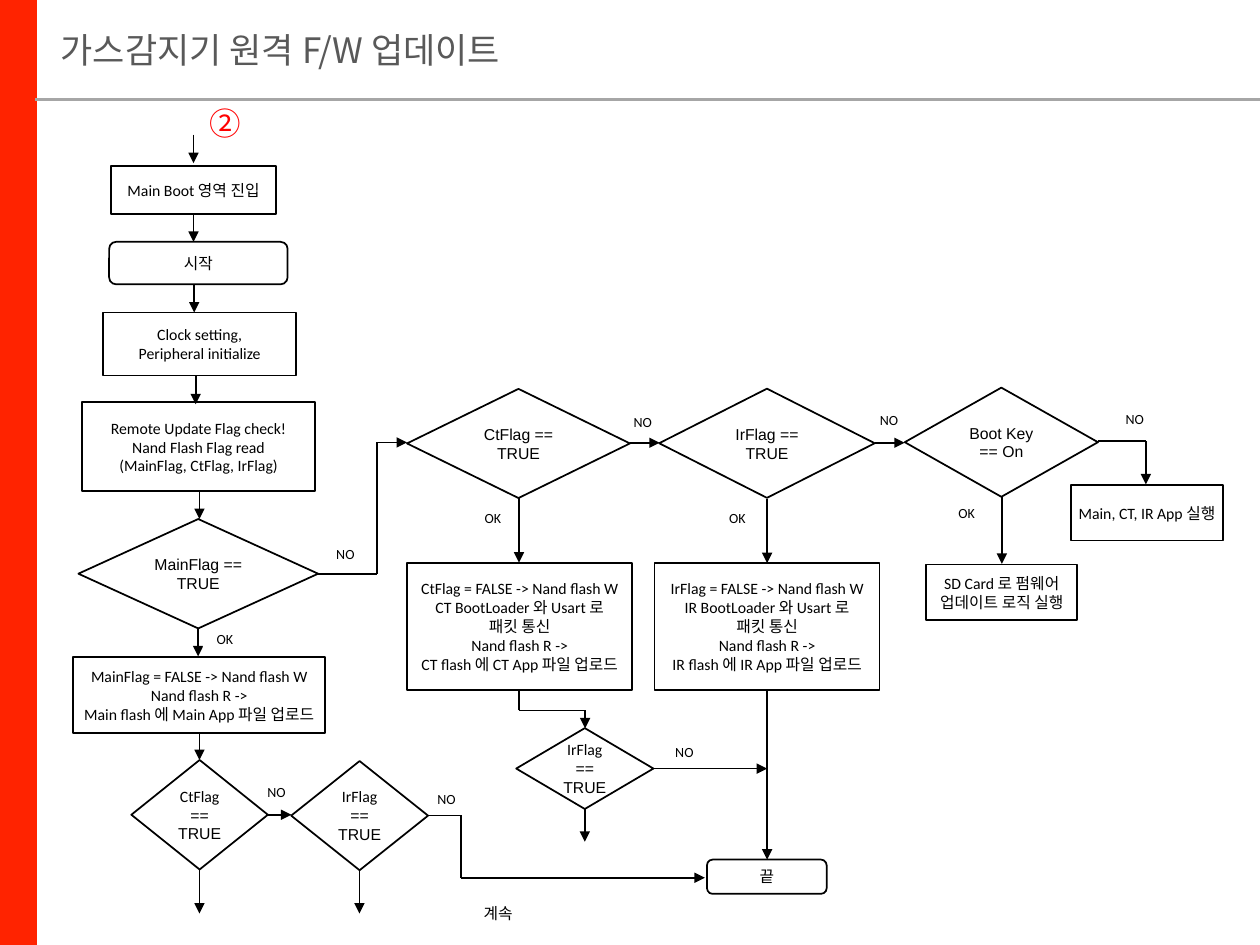
from itertools import pairwise

from pptx import Presentation
from pptx.enum import shapes, text
from pptx.oxml import ns
from pptx.dml import color
from pptx import util as u
from lxml import etree

Pt = u.Pt
KIND = shapes.MSO_SHAPE
COLORS = {"bar": "FF2300", "rule": "A6A6A6", "title": "595959",
          "ink": "000000", "paper": "FFFFFF", "step": "FF0000"}


def add_node(kind, box, wording, font="Calibri", size=9, ink="ink",
             fill="paper", line="ink", inset=(1.44, 1.44), align=text.PP_ALIGN.CENTER):
    """Add a shape; each line is a paragraph, '|' separates Calibri from Arial."""
    node = slide.shapes.add_shape(kind, *map(Pt, box))
    node.shadow.inherit = False
    if fill:
        node.fill.solid()
        node.fill.fore_color.rgb = color.RGBColor.from_string(COLORS[fill])
    else:
        node.fill.background()
    if line:
        node.line.color.rgb = color.RGBColor.from_string(COLORS[line])
        node.line.width = Pt(1)
    else:
        node.line.fill.background()
    frame = node.text_frame
    frame.word_wrap = True
    frame.vertical_anchor = text.MSO_ANCHOR.MIDDLE
    frame.margin_left = frame.margin_right = Pt(inset[0])
    frame.margin_top = frame.margin_bottom = Pt(inset[1])
    for i, sentence in enumerate(wording.split("\n") if wording else []):
        paragraph = frame.add_paragraph() if i else frame.paragraphs[0]
        paragraph.alignment = align
        paragraph.font.size = Pt(size)
        paragraph.font.name = font
        paragraph.font.color.rgb = color.RGBColor.from_string(COLORS[ink])
        parts = sentence.split("|")
        for part in parts:
            run = paragraph.add_run()
            run.text = part
        if len(parts) > 1:
            paragraph.runs[0].font.name = "Calibri"
    return node


def add_route(points, arrow=True, ink="ink", width=1):
    """Join the points with straight lines, with an arrowhead on the last."""
    for start, end in pairwise(points):
        leg = slide.shapes.add_connector(
            shapes.MSO_CONNECTOR.STRAIGHT, *map(Pt, (*start, *end)))
        leg.line.color.rgb = color.RGBColor.from_string(COLORS[ink])
        leg.line.width = Pt(width)
        if arrow and end == points[-1]:
            etree.SubElement(leg.line._get_or_add_ln(), ns.qn("a:tailEnd"), type="triangle")
        etree.SubElement(leg._element.spPr, ns.qn("a:effectLst"))


deck = Presentation()
deck.slide_width, deck.slide_height = Pt(720), Pt(540)
slide = deck.slides.add_slide(deck.slide_layouts[6])

# Red side bar, title and rule
side_bar = add_node(KIND.RECTANGLE, (0, 0, 20.2, 540), "", fill="bar", line="bar")
side_bar.line.width = Pt(2)
add_route([(20.2, 56.9), (720, 56.9)], arrow=False, ink="rule", width=1.5)
heading = slide.shapes.add_textbox(Pt(20.2), Pt(0), Pt(699.8), Pt(56.9)).text_frame
heading.word_wrap = True
heading.vertical_anchor = text.MSO_ANCHOR.MIDDLE
heading.margin_left = Pt(14.4)
heading.margin_right = heading.margin_top = heading.margin_bottom = 0
title = heading.paragraphs[0]
title.text = "가스감지기 원격 F/W 업데이트"
title.font.size = Pt(20)
title.font.name = "Noto Sans CJK KR"
title.font.color.rgb = color.RGBColor.from_string(COLORS["title"])

# Process steps
upload = ("{0}Flag = FALSE -> Nand flash W\n{1} BootLoader 와 Usart 로\n패킷 통신\n"
          "Nand flash R ->\n{1} flash 에 {1} App 파일 업로드")
steps = [
    ((63.4, 95, 94.3, 27.4), "Main Boot 영역 진입"),
    ((59, 178.6, 110.2, 36), "Clock setting,\nPeripheral initialize"),
    ((46.8, 229.7, 133.2, 51.1),
     "Remote Update Flag check!\nNand Flash Flag read\n(MainFlag, CtFlag, IrFlag)"),
    ((41.8, 375.3, 144, 43.4),
     "MainFlag = FALSE -> Nand flash W\nNand flash R ->\nMain flash 에 Main App 파일 업로드"),
    ((232.6, 321.8, 128.7, 72.5), upload.format("Ct", "CT")),
    ((374, 321.8, 128.7, 72.5), upload.format("Ir", "IR")),
    ((529.2, 322.6, 86.4, 31.7), "SD Card 로 펌웨어 업데이트 로직 실행"),
    ((612, 277.2, 86.8, 31.7), "Main, CT, IR App 실행"),
]
for box, wording in steps:
    add_node(KIND.RECTANGLE, box, wording)

# Start and end
for box, wording in [((62.4, 138.2, 102, 24.3), "시작"),
                     ((404, 491.2, 68.4, 19.6), "끝")]:
    add_node(KIND.ROUNDED_RECTANGLE, box, wording, "Arial", fill=None, inset=(7.2, 3.6))

# Decisions
decisions = [
    ((44.8, 296.6, 137, 62.5), "MainFlag == TRUE"),
    ((232.6, 222.2, 127.4, 62.4), "CtFlag == TRUE"),
    ((376.7, 222.1, 123.2, 62.4), "IrFlag == TRUE"),
    ((517, 221.5, 110.4, 62.4), "Boot Key\n== On"),
    ((75.1, 434.3, 78, 62.6), "CtFlag| == TRUE"),
    ((166.4, 434.9, 78.2, 62.4), "IrFlag| == TRUE"),
    ((295, 416.1, 78.4, 46.2), "IrFlag| == TRUE"),
]
for box, wording in decisions:
    add_node(KIND.DIAMOND, box, wording, "Arial", fill=None, inset=(7.2, 3.6))

# Downward arrows: x, top, bottom
drops = [
    (110.6, 77, 93.2), (110.6, 122.4, 138.2), (111, 162.7, 178.6),
    (111.8, 215, 231), (114, 280.8, 296.6), (113.2, 359.3, 375.1),
    (114, 419, 434.3), (114, 497.3, 522), (205.4, 497.3, 522),
    (296.6, 284.4, 321.5), (438.4, 285, 321.8), (572.5, 283.2, 322.2),
    (334.2, 462.2, 481), (438.4, 394, 491.2),
]
for x, top, bottom in drops:
    add_route([(x, top), (x, bottom)])

# Branches to the right
branches = [
    [(181.8, 327.8), (215.4, 327.8), (215.4, 252.8), (232.6, 252.8)],
    [(360, 253), (377, 253)],
    [(500, 253), (517, 253)],
    [(627.4, 252), (654.8, 252), (654.8, 276.8)],
    [(153.2, 465.6), (166.5, 465.6)],
    [(244.4, 466), (263.4, 466), (263.4, 501.6), (402.8, 501.6)],
    [(296.4, 394), (296.4, 406), (334.4, 406), (334.4, 416.2)],
    [(374, 439.2), (438.4, 439.2)],
]
for route in branches:
    add_route(route)

# Branch labels
labels = {
    "OK": [(115.9, 359.4), (269, 290.3), (408.8, 290.3), (539.8, 287.4)],
    "NO": [(184.8, 310.9), (354.7, 235.7), (495.4, 234.3), (635.8, 233.8),
           (145.4, 446.9), (242.6, 451), (378.5, 424)],
}
for wording, places in labels.items():
    for left, top in places:
        add_node(KIND.RECTANGLE, (left, top, 25.2, 10.8), wording, size=8, line=None)

# Step number and continuation note
add_node(KIND.RECTANGLE, (110.9, 59.2, 36, 21.6), "②", "Noto Sans CJK KR", 18,
         "step", fill=None, line=None)
add_node(KIND.RECTANGLE, (262, 511.2, 45.4, 21.6), "계속", "Arial", line=None)

deck.save("out.pptx")
